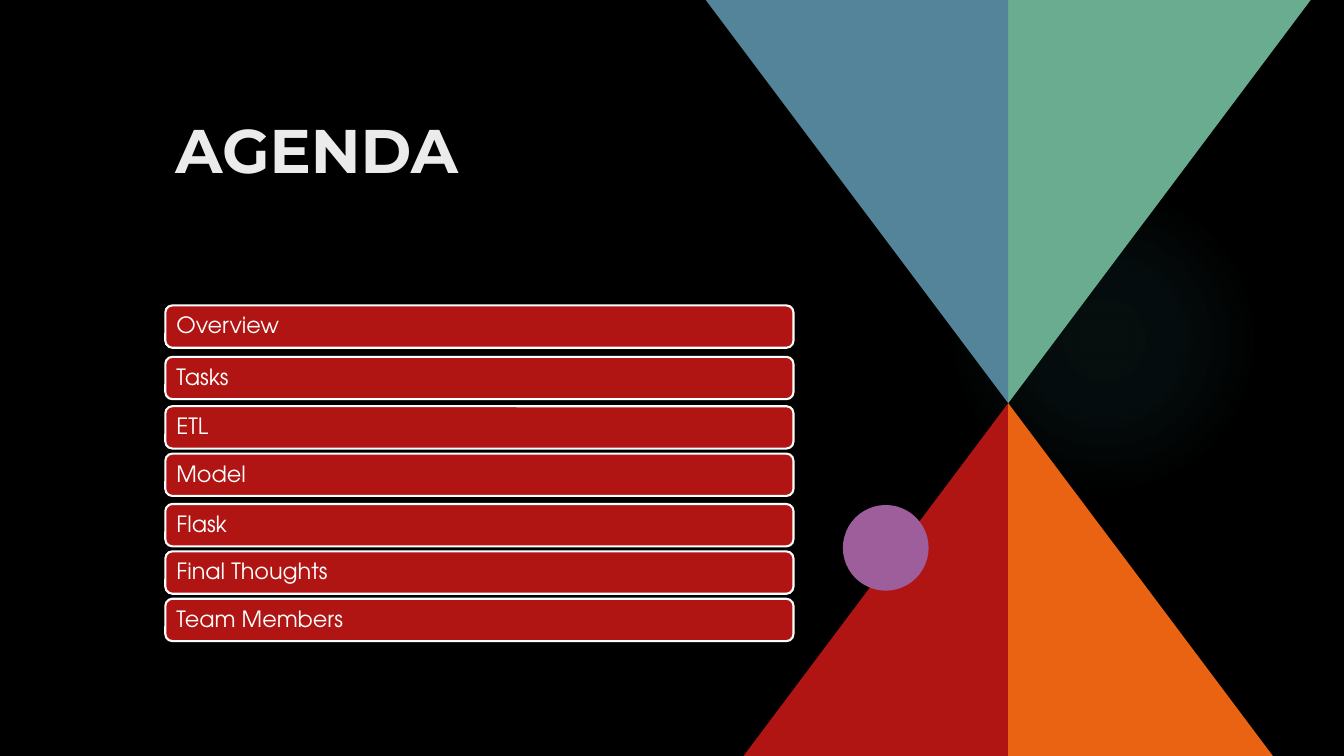
from lxml.etree import SubElement
from pptx import Presentation
from pptx.dml.color import RGBColor
from pptx.enum.shapes import MSO_SHAPE
from pptx.enum.text import MSO_ANCHOR, PP_ALIGN
from pptx.oxml.ns import qn
from pptx.util import Inches, Pt

BLACK = RGBColor(0x00, 0x00, 0x00)
WHITE = RGBColor(0xFF, 0xFF, 0xFF)
OFF_WHITE = RGBColor(0xEB, 0xEB, 0xEB)
RED = RGBColor(0xB0, 0x15, 0x13)
ORANGE = RGBColor(0xEA, 0x63, 0x12)
GREEN = RGBColor(0x6A, 0xAC, 0x90)
BLUE = RGBColor(0x54, 0x84, 0x9A)
PURPLE = RGBColor(0x9E, 0x5E, 0x9B)
TEAL = RGBColor(0x50, 0xB9, 0xC1)

WIDTH, HEIGHT = 13.33, 7.5
LEFT, COLUMN = 1.64, 6.23
AGENDA = [("Overview", 0), ("Tasks", 0.51), ("ETL", 1), ("Model", 1.47),
          ("Flask", 1.97), ("Final Thoughts", 2.44), ("Team Members", 2.91)]


def write(sp, text, font, size, color, bold=False, inset=0.1, line=1.0):
    """Set one left-aligned, vertically centred paragraph in a shape."""
    tf = sp.text_frame
    tf.word_wrap = True
    tf.vertical_anchor = MSO_ANCHOR.MIDDLE
    tf.margin_left = tf.margin_right = Inches(inset)
    tf.margin_top = tf.margin_bottom = Inches(0.05)
    p = tf.paragraphs[0]
    p.alignment = PP_ALIGN.LEFT
    p.line_spacing = line
    r = p.add_run()
    r.text = text
    r.font.name = font
    r.font.size = Pt(size)
    r.font.bold = bold
    r.font.color.rgb = color


def paint(sp, fill, line=None):
    """Give a shape a plain fill, an optional outline and no shadow."""
    sp.shadow.inherit = False
    sp.fill.solid()
    sp.fill.fore_color.rgb = fill
    if line is None:
        sp.line.fill.background()
    else:
        sp.line.color.rgb = line
        sp.line.width = Pt(1.5)


def add_shape(s, kind, box, fill, line=None):
    """Add a painted preset shape in a box given in inches."""
    sp = s.shapes.add_shape(kind, *map(Inches, box))
    paint(sp, fill, line)
    return sp


def add_glow(s, box):
    """Add a faint round glow that fades out from its centre."""
    sp = add_shape(s, MSO_SHAPE.OVAL, box, TEAL)
    solid = sp.element.spPr.find(qn("a:solidFill"))
    grad = solid.makeelement(qn("a:gradFill"), {"rotWithShape": "1"})
    stops = SubElement(grad, qn("a:gsLst"))
    for pos, alpha in ((0, 7), (36, 6), (69, 0), (100, 0)):
        gs = SubElement(stops, qn("a:gs"), pos=str(pos * 1000))
        color = SubElement(gs, qn("a:srgbClr"), val=str(TEAL))
        SubElement(color, qn("a:alpha"), val=str(alpha * 1000))
    path = SubElement(grad, qn("a:path"), {"path": "circle"})
    SubElement(path, qn("a:fillToRect"), dict.fromkeys("ltrb", "50000"))
    solid.getparent().replace(solid, grad)


def add_triangle(s, axis, tip, outer, edge, fill):
    """Add a right triangle from a tip on the axis to a slide edge."""
    fb = s.shapes.build_freeform(axis, tip, scale=Inches(1))
    fb.add_line_segments([(outer, edge), (axis, edge)], close=True)
    paint(fb.convert_to_shape(), fill)


def add_hourglass(s, left, right):
    """Add the four triangles that meet at mid-height, and the disc."""
    lower, upper = 3.72, 3.79
    middle = (left + right) / 2
    add_triangle(s, middle + 0.01, lower, left, HEIGHT, RED)
    add_triangle(s, middle - 0.01, lower, right, HEIGHT, ORANGE)
    add_triangle(s, middle - 0.01, upper, right, 0, GREEN)
    add_triangle(s, middle + 0.01, upper, left, 0, BLUE)
    add_shape(s, MSO_SHAPE.OVAL, (left + 1.3, 5.01, 0.85, 0.85), PURPLE)


def add_title(s, box, text):
    """Move the title placeholder into its box and fill it."""
    sp = s.shapes.title
    sp.left, sp.top, sp.width, sp.height = map(Inches, box)
    write(sp, text, "Montserrat", 44, OFF_WHITE, bold=True)


def add_agenda(s, left, top, width, items):
    """Stack one rounded bar per agenda item."""
    for text, offset in items:
        box = (left, top + offset, width, 0.42)
        sp = add_shape(s, MSO_SHAPE.ROUNDED_RECTANGLE, box, RED, WHITE)
        write(sp, text, "TeX Gyre Adventor", 16, WHITE, inset=0.09, line=0.9)


def main():
    """Build the agenda slide and save it."""
    prs = Presentation()
    prs.slide_width, prs.slide_height = Inches(WIDTH), Inches(HEIGHT)
    s = prs.slides.add_slide(prs.slide_layouts[5])
    s.background.fill.solid()
    s.background.fill.fore_color.rgb = BLACK
    add_glow(s, (9.41, 1.83, 3.08, 3.08))
    add_hourglass(s, 7.06, WIDTH)
    add_title(s, (LEFT, 1.06, COLUMN, 0.84), "AGENDA")
    add_agenda(s, LEFT, 3.03, COLUMN, AGENDA)
    prs.save("out.pptx")


if __name__ == "__main__":
    main()
